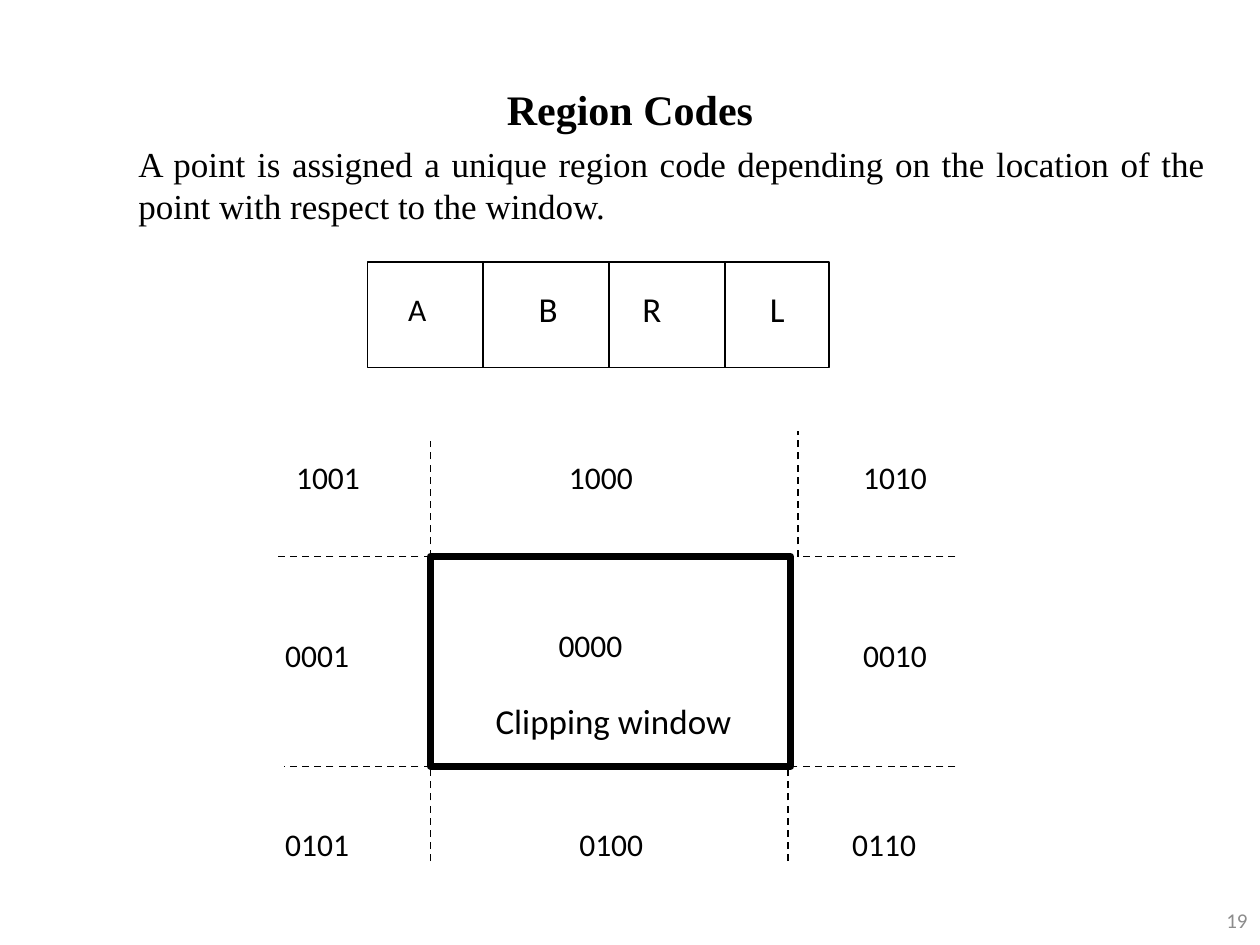
from lxml import etree
from pptx import Presentation
from pptx import util as u
from pptx.dml.color import RGBColor
from pptx.enum import dml, shapes, text
from pptx.oxml.ns import qn


def style(item, size, color="000000", font="Calibri", bold=False):
    item.font.size = u.Pt(size)
    item.font.name = font
    item.font.bold = bold
    item.font.color.rgb = RGBColor.from_string(color)


def label(words, x, y, w, h, size, wrap=False):
    tf = s.shapes.add_textbox(u.Cm(x), u.Cm(y), u.Cm(w), u.Cm(h)).text_frame
    tf.word_wrap = wrap
    tf.auto_size = text.MSO_AUTO_SIZE.SHAPE_TO_FIT_TEXT
    tf.text = words
    style(tf.paragraphs[0], size)
    return tf


prs = Presentation()
prs.slide_width, prs.slide_height = u.Cm(25.4), u.Cm(19.05)
s = prs.slides.add_slide(prs.slide_layouts[5])
black = RGBColor.from_string("000000")

title = s.shapes.title
title.left, title.top, title.width, title.height = u.Cm(6.56), u.Cm(1.69), u.Cm(12.28), u.Cm(1.27)
tf = title.text_frame
tf.text = "Region Codes"
tf.vertical_anchor = text.MSO_ANCHOR.MIDDLE
p = tf.paragraphs[0]
p.alignment = text.PP_ALIGN.CENTER
p.line_spacing = 0.7
style(p, 24, font="Times New Roman", bold=True)

tf = label("A point is assigned a unique region code depending on the location of the "
           "point with respect to the window.", 2.54, 2.75, 22.01, 1.96, 20, wrap=True)
p = tf.paragraphs[0]
p.alignment = text.PP_ALIGN.JUSTIFY
style(p, 20, font="Times New Roman")

left, top, bottom = 8.68, 11.22, 15.45
code_top, code_bottom = 5.29, 7.41
for x, y, w, h, weight in [
    (left, top, 7.26, bottom - top, 4),
    (7.41, code_top, 9.31, code_bottom - code_top, 1),
]:
    sp = s.shapes.add_shape(shapes.MSO_SHAPE.RECTANGLE, u.Cm(x), u.Cm(y), u.Cm(w), u.Cm(h))
    sp.shadow.inherit = False
    sp.fill.background()
    sp.line.color.rgb = black
    sp.line.width = u.Pt(weight)

dashed = [
    (left, top, 5.5, top), (left, bottom, 5.72, bottom),
    (19.26, top, 16.09, top), (19.26, bottom, 15.88, bottom),
    (left, top, left, 8.89), (16.09, top, 16.09, 8.68),
    (left, 17.36, left, bottom), (15.88, 17.36, 15.88, bottom),
]
dividers = [(x, code_top, x, code_bottom) for x in (9.74, 12.28, 14.61)]
for ends in dashed + dividers:
    line = s.shapes.add_connector(shapes.MSO_CONNECTOR.STRAIGHT, *map(u.Cm, ends))
    line.line.color.rgb = black
    line.line.width = u.Pt(1)
    if ends in dashed:
        line.line.dash_style = dml.MSO_LINE.DASH
    etree.SubElement(line._element.spPr, qn("a:effectLst"))

for words, x, y in [
    ("1001", 5.72, 9.1), ("1000", 11.22, 9.1), ("1010", 17.15, 9.1),
    ("0001", 5.5, 12.7), ("0000", 11.01, 12.49), ("0010", 17.15, 12.7),
    ("0101", 5.5, 16.51), ("0100", 11.43, 16.51), ("0110", 16.93, 16.51),
]:
    label(words, x, y, 2.2, 1.27, 18)

label("Clipping window", 9.74, 13.97, 5.43, 1.1, 20)
label("A", 7.98, 5.72, 1.12, 1.27, 18)
for words, x in [("B", 10.61), ("R", 12.7), ("L", 15.27)]:
    label(words, x, 5.67, 0.98, 1.1, 20)

tf = label("19", 19.48, 18.03, 5.92, 1.02, 12, wrap=True)
tf.auto_size = text.MSO_AUTO_SIZE.NONE
tf.vertical_anchor = text.MSO_ANCHOR.MIDDLE
p = tf.paragraphs[0]
p.alignment = text.PP_ALIGN.RIGHT
style(p, 12, "8C8C8C")

prs.save("out.pptx")
